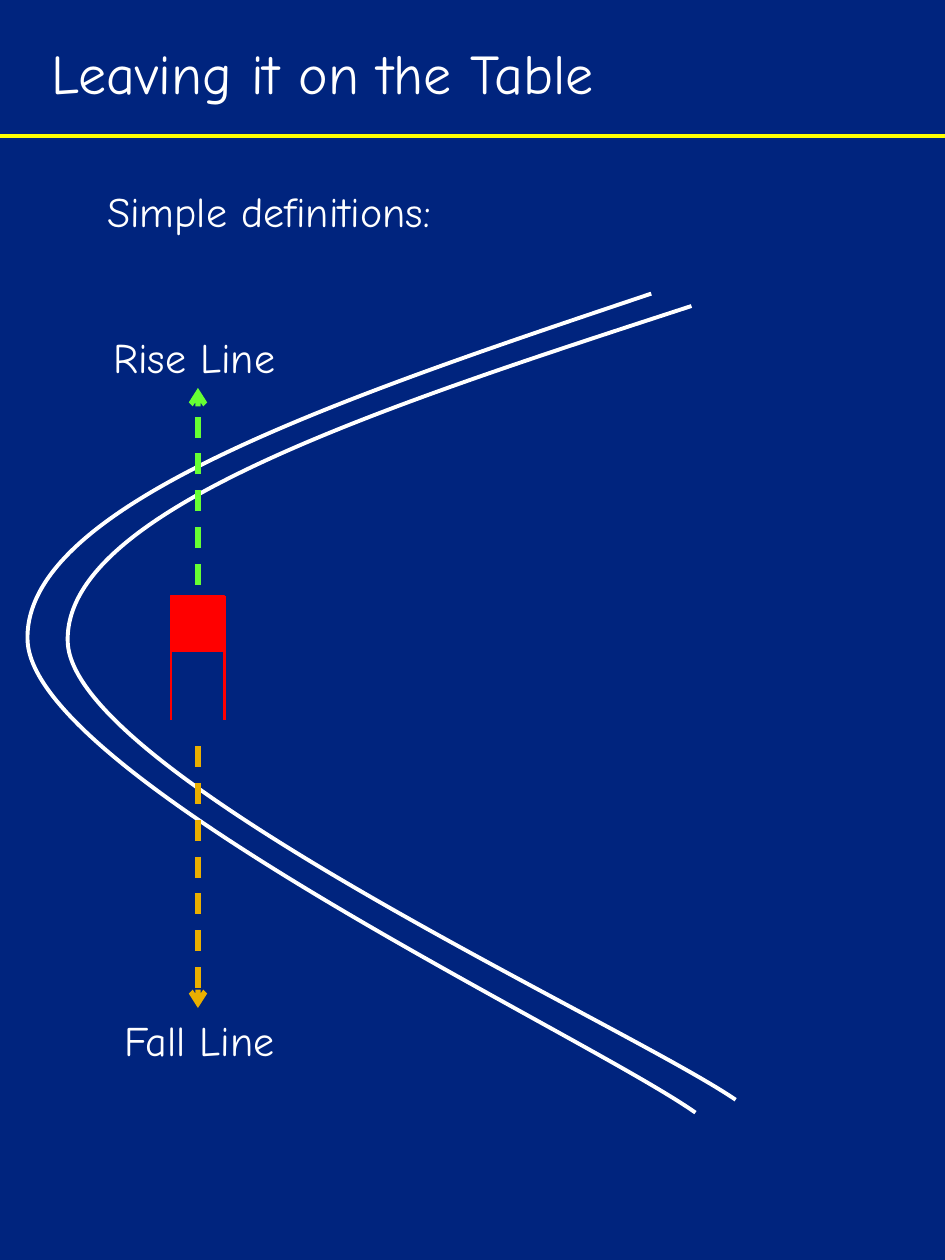
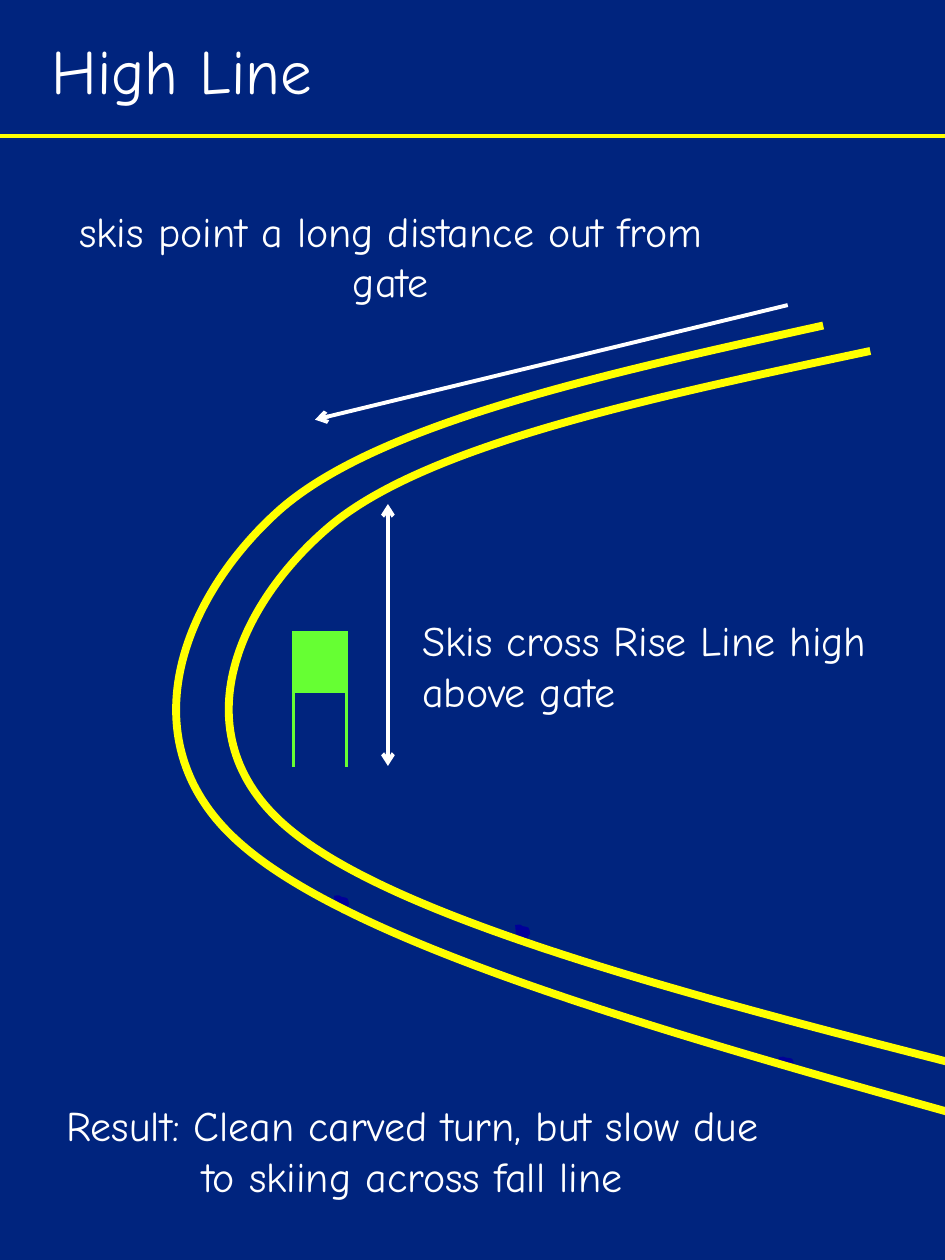
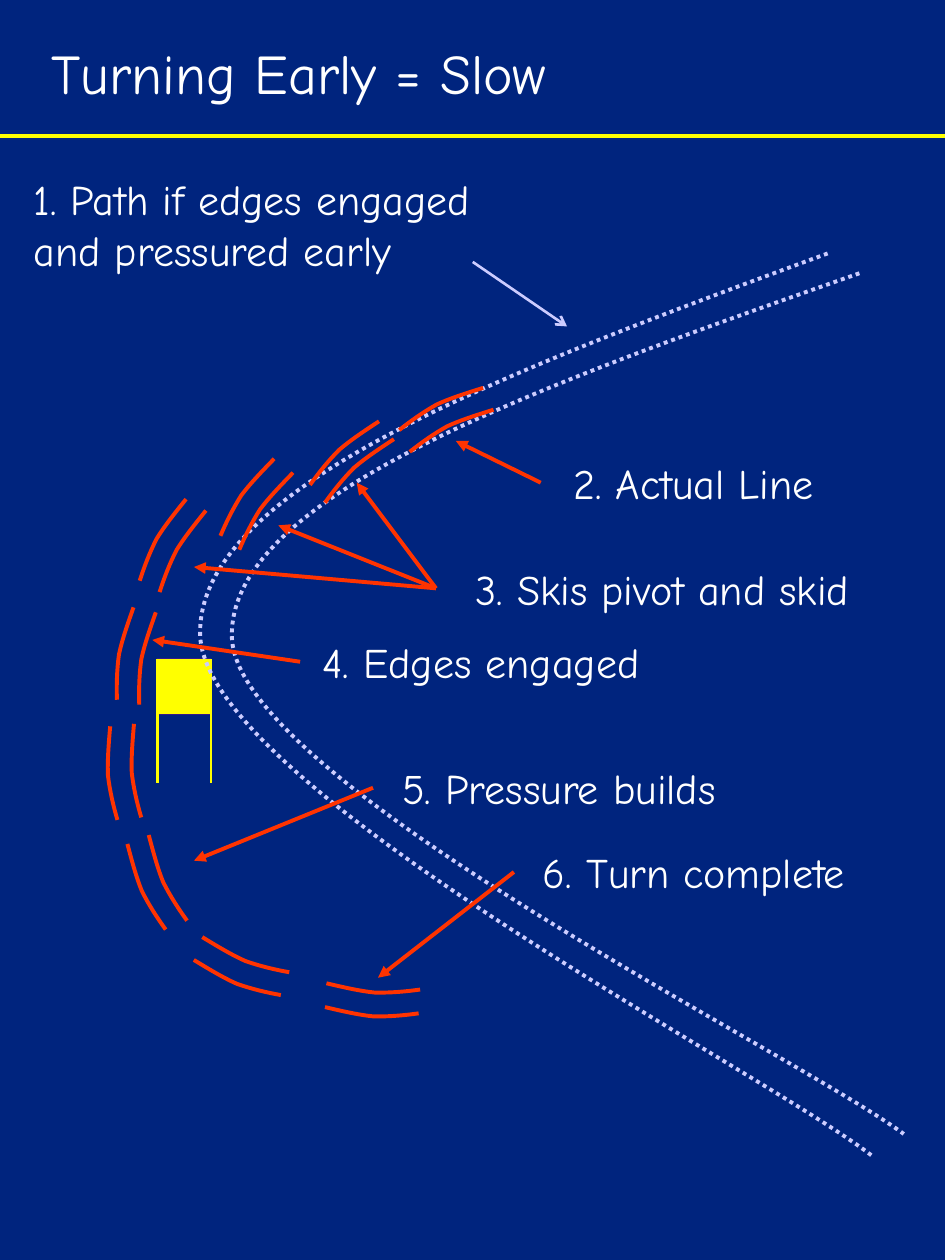
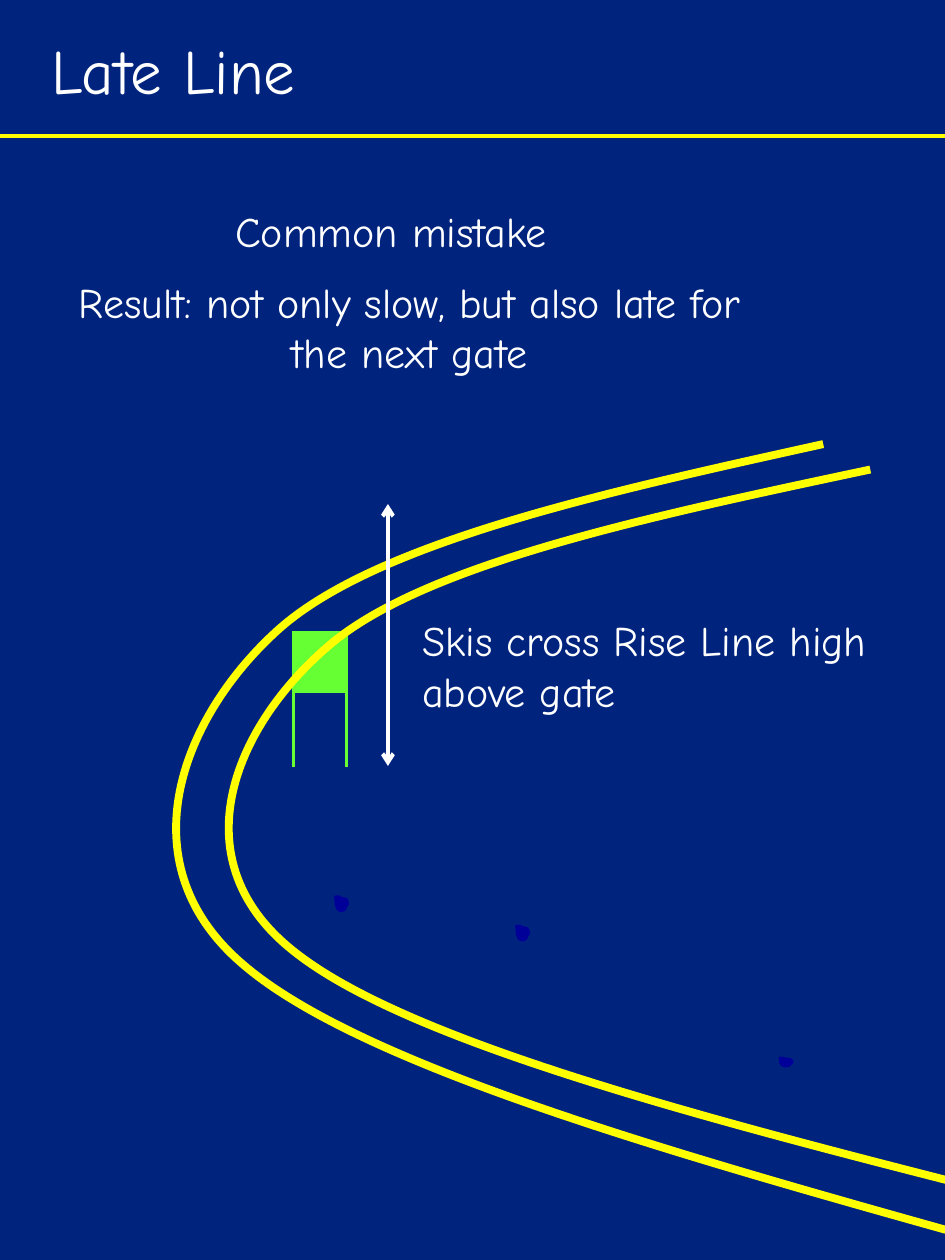
from dataclasses import dataclass

from lxml import etree
from pptx import Presentation
from pptx.dml.color import RGBColor
from pptx.enum.dml import MSO_LINE
from pptx.enum.shapes import MSO_CONNECTOR, MSO_SHAPE
from pptx.enum.text import MSO_ANCHOR, MSO_AUTO_SIZE, PP_ALIGN
from pptx.oxml.ns import qn
from pptx.util import Cm, Pt

STRAIGHT, RECT = MSO_CONNECTOR.STRAIGHT, MSO_SHAPE.RECTANGLE
DASH, DOT = MSO_LINE.DASH, MSO_LINE.ROUND_DOT
MIDDLE, GROW = MSO_ANCHOR.MIDDLE, MSO_AUTO_SIZE.SHAPE_TO_FIT_TEXT
LEFT, CENTER = PP_ALIGN.LEFT, PP_ALIGN.CENTER


@dataclass(frozen=True)
class Theme:
    font: str = "Comic Neue"
    navy: str = "00247E"
    white: str = "FFFFFF"
    yellow: str = "FFFF00"
    red: str = "FF0000"
    green: str = "66FF33"
    gold: str = "EAAF00"
    orange: str = "FF3300"
    lilac: str = "CCCCFF"
    indigo: str = "331B89"
    ink: str = "000099"
    long_title: int = 32
    short_title: int = 36
    body: int = 24
    pole: float = 1.5
    line: float = 2.25
    dash: float = 3
    bold: float = 4.5


T = Theme()
WIDE, HIGH = 19.05, 25.4
RULE_Y, TITLE_END = 2.74, 2.54

# Outlines: a start point, then three points for each Bézier piece.
# Each is scaled to the box it is drawn in.
TRACK = [(5, 0), (2.5, 0.84), (0, 1.68), (0.05, 2.76),
         (0.11, 3.84), (4.47, 5.88), (5.35, 6.5)]
BOW = [(5.86, 0), (4.06, 0.21), (2.26, 0.42), (1.42, 1.02),
       (0.59, 1.62), (0, 2.73), (0.85, 3.63),
       (1.69, 4.53), (4.1, 5.48), (6.5, 6.42)]
SKI = [(0, 0.33), (0.09, 0.26), (0.19, 0.19), (0.3, 0.13),
       (0.41, 0.08), (0.54, 0.04), (0.67, 0)]
SPOT = [(0.01, 0.01), (0.02, 0.06), (0, 0.12), (0.06, 0.14),
        (0.13, 0.13), (0.09, 0.12), (0.13, 0.08),
        (0.12, 0.02), (0.12, 0.03), (0.07, 0.02),
        (0.04, 0), (0.06, 0.01), (0.01, 0.01)]

# Gates: left, top, flag height, pole length, colour, flag edge
GATE_W = 1.07
RED_GATE = (3.45, 12.01, 1.12, 2.51, T.red, T.red)
GREEN_GATE = (5.92, 12.73, 1.22, 2.74, T.green, T.green)
YELLOW_GATE = (3.18, 13.28, 1.12, 2.51, T.yellow, T.indigo)

# Boxes: left, top, width, height
PLAIN_TRACKS = [(0.43, 5.92, 13.59, 16.51), (1.24, 6.17, 13.59, 16)]
EARLY_TRACKS = [(3.91, 5.11, 13.67, 18.19), (4.55, 5.51, 13.67, 17.35)]
BOWS = [(3.63, 7.7, 16.31, 14.96), (2.57, 7.19, 16.51, 16.31)]
BOW_TURN, LATE_DROP = 354.2, 2.39
SPOTS = [(10.36, 18.62, 0.33, 0.36), (6.71, 18.03, 0.33, 0.36),
         (15.67, 21.29, 0.33, 0.23)]

# Ski pairs: turn, then left and top of each ski
SKI_SIZE = (1.69, 0.85)
SKIS = [
    (0, (8.05, 7.82), (8.26, 8.26)),
    (331.6, (4.14, 9.6), (4.52, 9.88)),
    (326.3, (2.44, 10.46), (2.84, 10.69)),
    (306.9, (1.68, 12.75), (2.13, 12.85)),
    (292.3, (1.45, 15.16), (1.93, 15.11)),
    (272.6, (2.11, 17.45), (2.54, 17.27)),
    (228.7, (3.94, 19.28), (4.11, 18.82)),
    (344, (6.1, 8.71), (6.4, 9.07)),
    (210.5, (6.65, 19.94), (6.68, 19.46)),
]

# One-line labels: text, left, top, width
TERMS = [("Fall Line", 2.13, 20.32, 3.78),
         ("Rise Line", 1.91, 6.55, 4.01),
         ("Simple definitions:", 1.47, 3.61, 7.9)]
STEPS = [("2. Actual Line", 11.02, 9.09, 5.92),
         ("3. Skis pivot and skid", 8.92, 11.23, 8.86),
         ("4. Edges engaged", 6.05, 12.7, 7.29),
         ("5. Pressure builds", 7.52, 15.24, 7.49),
         ("6. Turn complete", 10.41, 16.94, 7.16)]

# Wrapped notes: lines, left, top, width, alignment
FIRST = (["1. Path if edges engaged", "and pressured early"],
         0.43, 3.38, 10.36, LEFT)
CROSS = (["Skis cross Rise Line high above gate"], 8.26, 12.27, 10.59, LEFT)
HIGH_NOTES = [
    CROSS,
    (["Result: Clean carved turn, but slow due to skiing across fall line"],
     1.07, 22.05, 14.48, CENTER),
    (["skis point a long distance out from gate"], 0.64, 4.01, 14.48, CENTER),
]
LATE_NOTES = [
    CROSS,
    (["Result: not only slow, but also late for the next gate"],
     1.02, 5.44, 14.48, CENTER),
    (["Common mistake"], 0.64, 4.01, 14.48, CENTER),
]

# Arrows: start x, start y, end x, end y
FALL = (3.99, 15.04, 3.99, 20.32)
RISE = (3.99, 11.79, 3.99, 7.82)
SPAN = (7.82, 10.16, 7.82, 15.44)
GLIDE = (15.88, 6.15, 6.35, 8.46)
ENTRY = (9.53, 5.28, 11.43, 6.58)
HINTS = [
    (10.9, 9.73, 9.19, 8.89),
    (8.79, 11.86, 7.19, 9.73),
    (8.79, 11.86, 5.61, 10.59),
    (8.79, 11.86, 3.91, 11.43),
    (6.05, 13.34, 3.07, 12.9),
    (7.52, 15.88, 3.91, 17.35),
    (10.36, 17.58, 7.62, 19.71),
]


def rgb(tone):
    return RGBColor.from_string(tone)


def stroke(line, tone, width, dash=None):
    line.color.rgb = rgb(tone)
    line.width = Pt(width)
    if dash:
        line.dash_style = dash


def draw_line(slide, ends, tone, width, dash=None, head=None, tail=None):
    link = slide.shapes.add_connector(STRAIGHT, *map(Cm, ends))
    stroke(link.line, tone, width, dash)
    props = link.element.spPr
    ln = props.find(qn("a:ln"))
    for tag, kind in (("a:headEnd", head), ("a:tailEnd", tail)):
        if kind:
            etree.SubElement(ln, qn(tag)).set("type", kind)
    etree.SubElement(props, qn("a:effectLst"))
    return link


def bend(shape):
    """Turn each three straight segments of a freeform into one Bézier piece."""
    for i, step in enumerate(list(shape.element.iter(qn("a:lnTo")))):
        if i % 3 == 0:
            piece = etree.Element(qn("a:cubicBezTo"))
            step.addprevious(piece)
        piece.append(step[0])
        step.getparent().remove(step)


def draw_curve(slide, form, box, turn=0, closed=False):
    left, top, wide, high = box
    across = wide / max(x for x, _ in form)
    down = high / max(y for _, y in form)
    spots = [(Cm(left + x * across), Cm(top + y * down)) for x, y in form]
    pen = slide.shapes.build_freeform(*spots[0])
    pen.add_line_segments(spots[1:], close=closed)
    shape = pen.convert_to_shape()
    bend(shape)
    shape.rotation = turn
    shape.shadow.inherit = False
    return shape


def draw_path(slide, form, box, tone, width, dash=None, turn=0):
    shape = draw_curve(slide, form, box, turn)
    shape.fill.background()
    stroke(shape.line, tone, width, dash)
    return shape


def draw_spot(slide, box):
    shape = draw_curve(slide, SPOT, box, closed=True)
    shape.fill.solid()
    shape.fill.fore_color.rgb = rgb(T.ink)
    shape.line.fill.background()


def draw_gate(slide, gate):
    left, top, flag_h, pole_h, tone, edge = gate
    flag = slide.shapes.add_shape(
        RECT, Cm(left), Cm(top), Cm(GATE_W), Cm(flag_h))
    flag.shadow.inherit = False
    flag.fill.solid()
    flag.fill.fore_color.rgb = rgb(tone)
    stroke(flag.line, edge, 0.75)
    poles = [draw_line(slide, (x, top, x, top + pole_h), tone, T.pole)
             for x in (left, left + GATE_W)]
    slide.shapes.add_group_shape([flag, *poles])


def draw_skis(slide, turn, *places):
    pair = [draw_path(slide, SKI, place + SKI_SIZE, T.orange, T.line, turn=turn)
            for place in places]
    slide.shapes.add_group_shape(pair)


def write(slide, lines, box, size=T.body, align=LEFT):
    frame = slide.shapes.add_textbox(*map(Cm, box)).text_frame
    frame.word_wrap = True
    frame.text = "\n".join(lines)
    for para in frame.paragraphs:
        para.alignment = align
        para.font.name = T.font
        para.font.size = Pt(size)
        para.font.color.rgb = rgb(T.white)
    return frame


def add_label(slide, text, left, top, wide):
    frame = write(slide, [text], (left, top, wide, 1.27), align=CENTER)
    frame.word_wrap = False
    frame.auto_size = GROW


def add_note(slide, lines, left, top, wide, align):
    frame = write(slide, lines, (left, top, wide, 2.29), align=align)
    frame.auto_size = GROW


def add_slide(deck, title, size, top):
    slide = deck.slides.add_slide(deck.slide_layouts[6])
    slide.background.fill.solid()
    slide.background.fill.fore_color.rgb = rgb(T.navy)
    draw_line(slide, (0, RULE_Y, WIDE, RULE_Y), T.yellow, T.line)
    frame = write(slide, [title], (0.79, top, 17.63, TITLE_END - top), size)
    frame.vertical_anchor = MIDDLE
    frame.paragraphs[0].line_spacing = 0.9
    return slide


def add_long(deck, title):
    return add_slide(deck, title, T.long_title, 0.56)


def add_terms(deck):
    slide = add_long(deck, "Leaving it on the Table")
    draw_gate(slide, RED_GATE)
    for box in PLAIN_TRACKS:
        draw_path(slide, TRACK, box, T.white, T.line)
    for ends, tone in ((FALL, T.gold), (RISE, T.green)):
        draw_line(slide, ends, tone, T.dash, DASH, tail="arrow")
    for term in TERMS:
        add_label(slide, *term)


def add_bow(deck, title, notes, drop=0):
    """Slide with the wide yellow turn, moved down by drop."""
    slide = add_slide(deck, title, T.short_title, 0.43)
    for box in SPOTS:
        draw_spot(slide, box)
    draw_gate(slide, GREEN_GATE)
    for left, top, wide, high in BOWS:
        draw_path(slide, BOW, (left, top + drop, wide, high),
                  T.yellow, T.bold, turn=BOW_TURN)
    draw_line(slide, SPAN, T.white, T.line, head="arrow", tail="arrow")
    for note in notes:
        add_note(slide, *note)
    return slide


def add_early(deck):
    slide = add_long(deck, "Turning Early = Slow")
    draw_gate(slide, YELLOW_GATE)
    for box in EARLY_TRACKS:
        draw_path(slide, TRACK, box, T.lilac, T.line, DOT)
    for pair in SKIS:
        draw_skis(slide, *pair)
    add_note(slide, *FIRST)
    draw_line(slide, ENTRY, T.lilac, T.pole, tail="arrow")
    for step in STEPS:
        add_label(slide, *step)
    for ends in HINTS:
        draw_line(slide, ends, T.orange, T.line, tail="triangle")


def main():
    deck = Presentation()
    deck.slide_width, deck.slide_height = Cm(WIDE), Cm(HIGH)
    add_terms(deck)
    high = add_bow(deck, "High Line", HIGH_NOTES)
    draw_line(high, GLIDE, T.white, T.line, tail="arrow")
    add_early(deck)
    add_bow(deck, "Late Line", LATE_NOTES, LATE_DROP)
    deck.save("out.pptx")


if __name__ == "__main__":
    main()
